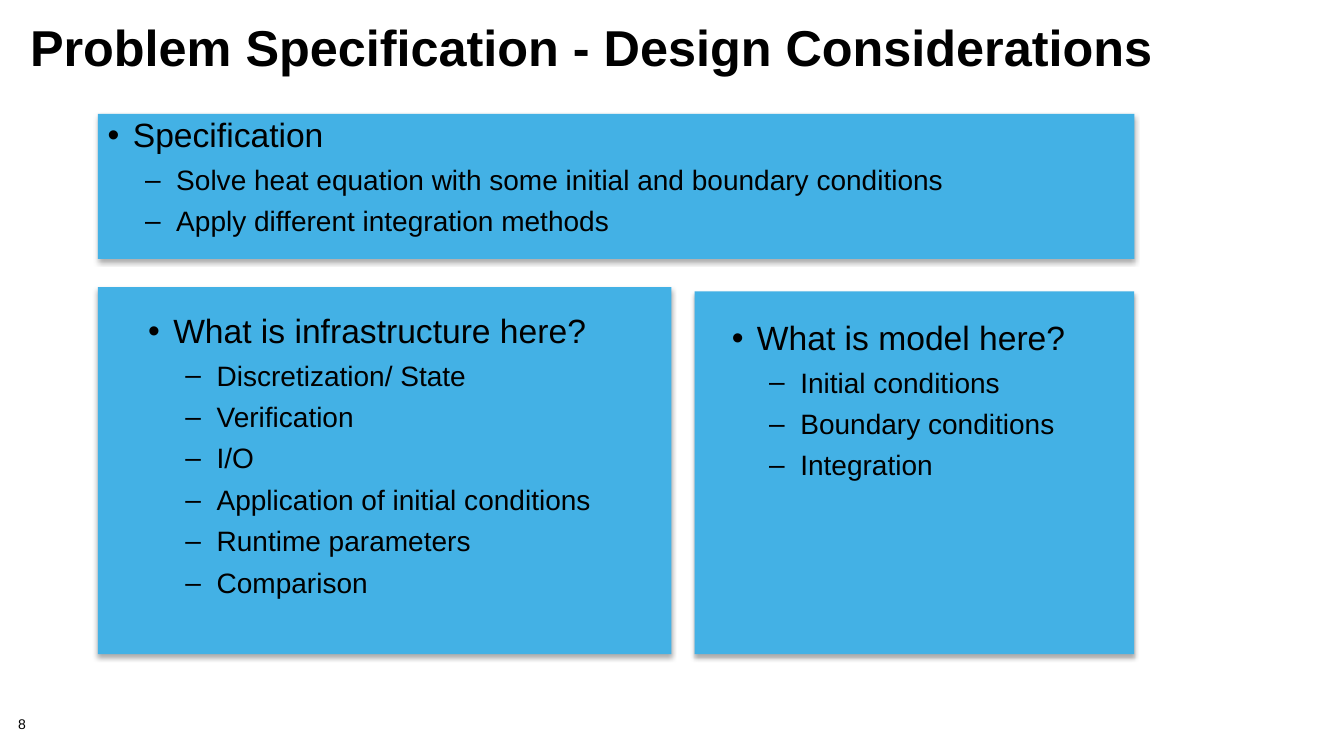
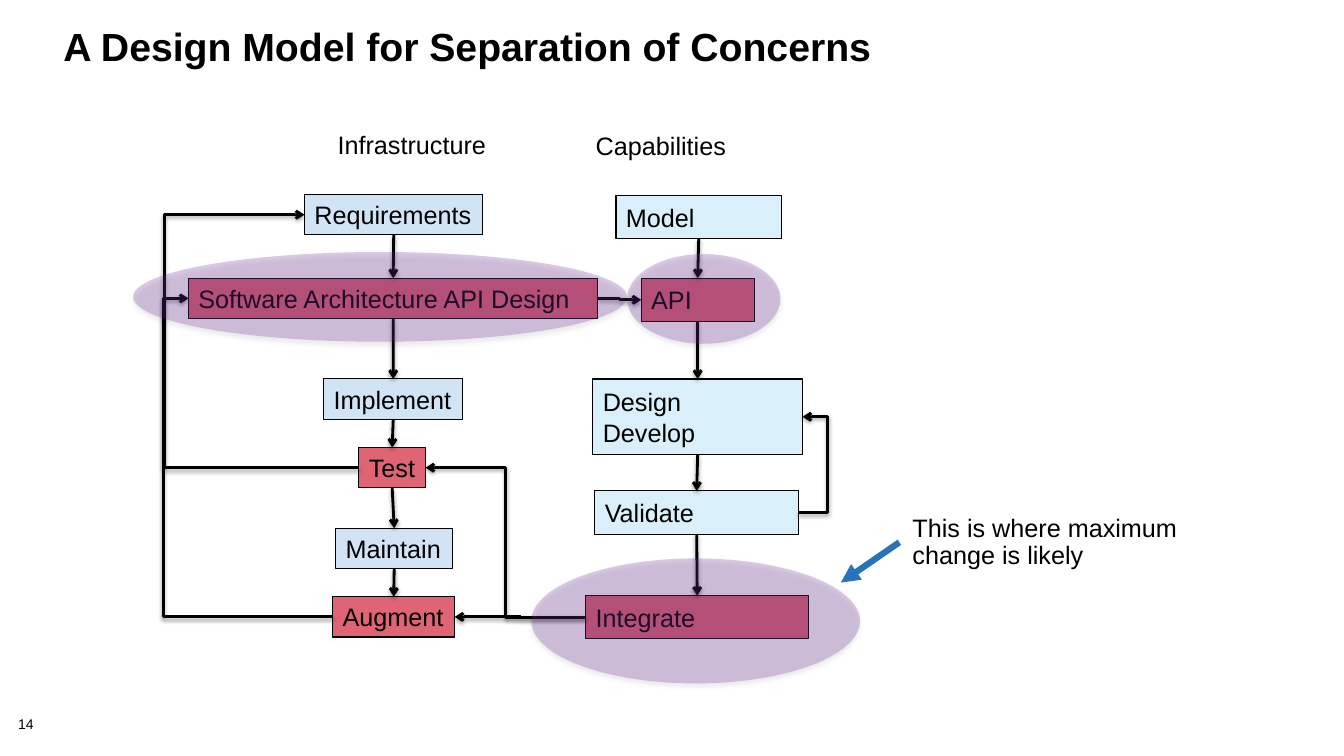
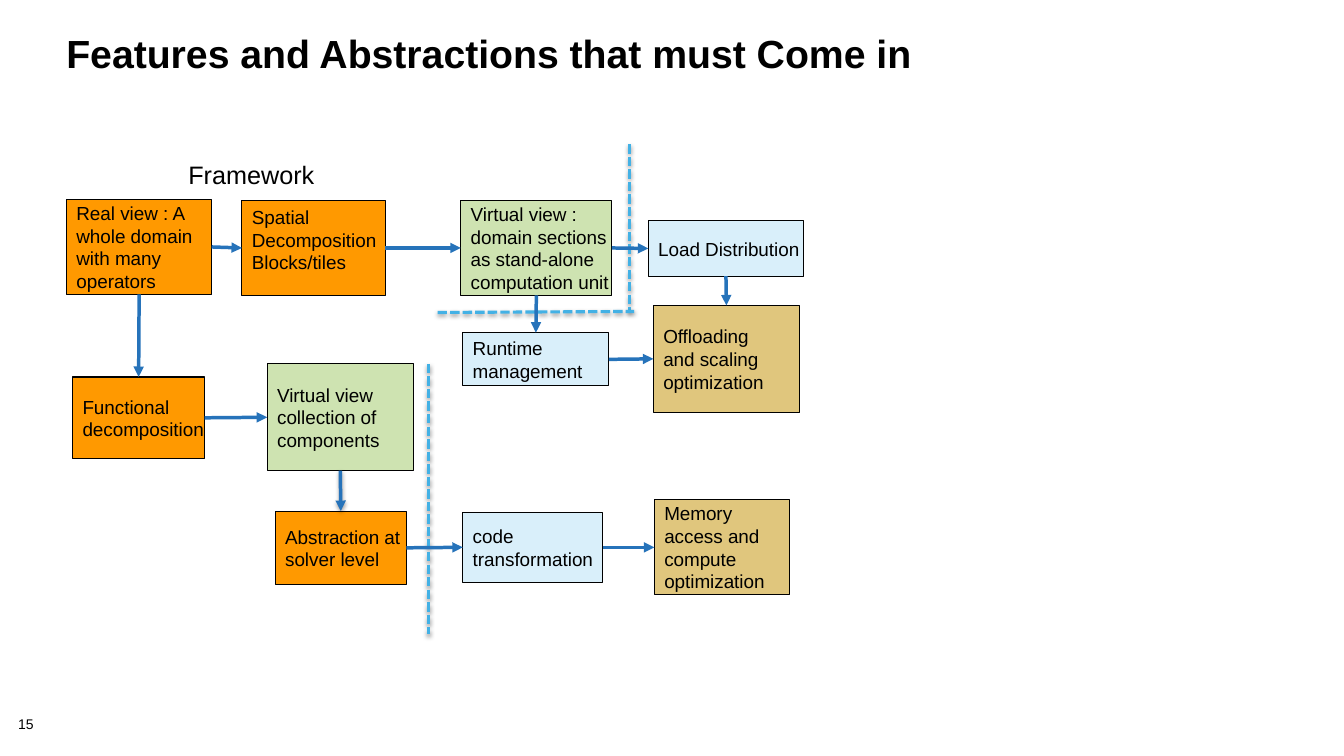
from dataclasses import dataclass

from lxml import etree
from pptx import Presentation
from pptx.dml.color import RGBColor
from pptx.enum.dml import MSO_LINE
from pptx.enum.shapes import MSO_CONNECTOR, MSO_SHAPE
from pptx.enum.text import MSO_ANCHOR, PP_ALIGN
from pptx.oxml.ns import qn
from pptx.util import Inches, Pt

RECTANGLE, ELLIPSE = MSO_SHAPE.RECTANGLE, MSO_SHAPE.OVAL
STRAIGHT, ELBOW = MSO_CONNECTOR.STRAIGHT, MSO_CONNECTOR.ELBOW
ANCHOR_TOP, ANCHOR_MIDDLE = MSO_ANCHOR.TOP, MSO_ANCHOR.MIDDLE
ALIGN_LEFT = PP_ALIGN.LEFT
SHORT_DASH = MSO_LINE.SQUARE_DOT
TOP, LEFT, BOTTOM, RIGHT = range(4)  # connection sites of a rectangle

FONT = "Arial"
COLORS = {
    "black": "000000",
    "panel": "43B1E5",
    "arrow": "2673BA",
    "infrastructure": "D1E4F5",
    "capability": "D9EFFA",
    "changing": "DF6474",
    "highlight": "7030A0",
    "orange": "FF9900",
    "green": "CEE3B1",
    "tan": "E0C67D",
}


@dataclass(frozen=True)
class Shadow:
    opacity: int
    blur: float
    distance: float


SHAPE_SHADOW = Shadow(32, 3.5, 2.2)
LINE_SHADOW = Shadow(38, 3.1, 1.6)


@dataclass(frozen=True)
class Place:
    left: float
    top: float
    width: float
    height: float

    def lengths(self):
        return [Inches(value) for value in (self.left, self.top, self.width, self.height)]


@dataclass(frozen=True)
class Node:
    text: str
    color: str
    place: Place
    anchor: MSO_ANCHOR = ANCHOR_MIDDLE


@dataclass(frozen=True)
class Panel:
    place: Place
    text_place: Place
    heading: str
    items: tuple[str, ...]


@dataclass(frozen=True)
class Link:
    start: str
    start_site: int
    end: str
    end_site: int
    kind: MSO_CONNECTOR = STRAIGHT
    lane: float | None = None  # x of the middle leg of an elbow


@dataclass(frozen=True)
class Stroke:
    color: str
    width: float
    head: str | None = None
    shadow: Shadow | None = None
    dash: MSO_LINE | None = None


FLOW = Stroke("black", 2, "arrow", LINE_SHADOW)
POINTER = Stroke("arrow", 4.5, "triangle")
STEP = Stroke("arrow", 2.5, "triangle")
DIVIDER = Stroke("panel", 2.25, shadow=LINE_SHADOW, dash=SHORT_DASH)


def rgb(name: str) -> RGBColor:
    return RGBColor.from_string(COLORS[name])


def add_element(parent, tag: str, **attributes):
    child = etree.SubElement(parent, qn(tag))
    for name, value in attributes.items():
        child.set(name, str(value))
    return child


def set_shadow(shape, shadow: Shadow | None) -> None:
    """Replace the theme's shadow by the given one, or by none."""
    properties = shape._element.spPr
    effects = properties.find(qn("a:effectLst"))
    if effects is None:
        effects = add_element(properties, "a:effectLst")
    if shadow:
        outer = add_element(effects, "a:outerShdw", blurRad=Pt(shadow.blur),
                            dist=Pt(shadow.distance), dir=90 * 60000, rotWithShape=0)
        color = add_element(outer, "a:srgbClr", val=COLORS["black"])
        add_element(color, "a:alpha", val=shadow.opacity * 1000)


def format_paragraph(paragraph, text: str, *, size: float, bold: bool = False,
                     spacing: float | None = None, before: float | None = None) -> None:
    paragraph.alignment = ALIGN_LEFT
    if spacing is not None:
        paragraph.line_spacing = spacing
    if before is not None:
        paragraph.space_before = Pt(before)
    span = paragraph.add_run()
    span.text = text
    span.font.name = FONT
    span.font.size = Pt(size)
    span.font.bold = bold
    span.font.color.rgb = rgb("black")


def write_text(shape, text: str, *, size: float, bold: bool = False,
               spacing: float | None = None, anchor: MSO_ANCHOR = ANCHOR_TOP,
               insets: tuple[float, float] = (0.1, 0.05), wrap: bool = False) -> None:
    frame = shape.text_frame
    frame.word_wrap = wrap
    frame.vertical_anchor = anchor
    frame.margin_left = frame.margin_right = Inches(insets[0])
    frame.margin_top = frame.margin_bottom = Inches(insets[1])
    for index, line in enumerate(text.split("\n")):
        paragraph = frame.add_paragraph() if index else frame.paragraphs[0]
        format_paragraph(paragraph, line, size=size, bold=bold, spacing=spacing)


def add_text(page, place: Place, text: str, **text_format):
    box = page.shapes.add_textbox(*place.lengths())
    write_text(box, text, **text_format)
    return box


def add_filled(page, kind: MSO_SHAPE, place: Place, color: str, *, outline: bool = False,
               opacity: int = 100, shadow: Shadow | None = None):
    shape = page.shapes.add_shape(kind, *place.lengths())
    shape.fill.solid()
    shape.fill.fore_color.rgb = rgb(color)
    if opacity < 100:
        fill = shape._element.spPr.find(qn("a:solidFill"))
        add_element(fill[0], "a:alpha", val=opacity * 1000)
    if outline:
        shape.line.color.rgb = rgb("black")
        shape.line.width = Pt(0.75)
    else:
        shape.line.fill.background()
    shape.shadow.inherit = False
    set_shadow(shape, shadow)
    return shape


def add_nodes(page, nodes: tuple[Node, ...], size: float) -> dict:
    """Draw the boxes and return them by the first line of their text."""
    shapes = {}
    for node in nodes:
        shape = add_filled(page, RECTANGLE, node.place, node.color, outline=True)
        write_text(shape, node.text, size=size, anchor=node.anchor)
        shapes[node.text.split("\n")[0]] = shape
    return shapes


def style_line(connector, stroke: Stroke) -> None:
    connector.line.color.rgb = rgb(stroke.color)
    connector.line.width = Pt(stroke.width)
    if stroke.dash:
        connector.line.dash_style = stroke.dash
    if stroke.head:
        add_element(connector._element.spPr.find(qn("a:ln")), "a:tailEnd", type=stroke.head)
    set_shadow(connector, stroke.shadow)


def add_line(page, start: tuple[float, float], end: tuple[float, float], stroke: Stroke) -> None:
    ends = [Inches(value) for value in (*start, *end)]
    style_line(page.shapes.add_connector(STRAIGHT, *ends), stroke)


def route_elbow(connector, lane: float | None) -> None:
    """Turn a double flip into a half turn and put the middle leg on its lane."""
    frame = connector._element.spPr.find(qn("a:xfrm"))
    if frame.get("flipH") == frame.get("flipV") == "1":
        del frame.attrib["flipH"], frame.attrib["flipV"]
        frame.set("rot", str(180 * 60000))
    if lane is not None:
        geometry = connector._element.spPr.find(qn("a:prstGeom"))
        guides = geometry.find(qn("a:avLst"))
        if guides is None:
            guides = add_element(geometry, "a:avLst")
        add_element(guides, "a:gd", name="adj1", fmla=f"val {lane_ratio(connector, lane)}")


def lane_ratio(connector, lane: float) -> int:
    properties = connector._element.spPr.find(qn("a:xfrm"))
    width = properties.find(qn("a:ext")).get("cx")
    left = int(properties.find(qn("a:off")).get("x"))
    backward = properties.get("rot") or properties.get("flipH") == "1"
    reach = left + int(width) - Inches(lane) if backward else Inches(lane) - left
    return round(100000 * reach / int(width))


def add_links(page, shapes: dict, links: list[Link], stroke: Stroke) -> None:
    for link in links:
        connector = page.shapes.add_connector(link.kind, 0, 0, 0, 0)
        connector.begin_connect(shapes[link.start], link.start_site)
        connector.end_connect(shapes[link.end], link.end_site)
        if link.kind == ELBOW:
            route_elbow(connector, link.lane)
        style_line(connector, stroke)


def chain_down(names: tuple[str, ...]) -> list[Link]:
    return [Link(upper, BOTTOM, lower, TOP) for upper, lower in zip(names, names[1:])]


def add_bullet(paragraph, mark: str, margin: float, hanging: float) -> None:
    properties = paragraph._p.get_or_add_pPr()
    properties.set("marL", str(Inches(margin)))
    properties.set("indent", str(-Inches(hanging)))
    add_element(add_element(properties, "a:buClr"), "a:srgbClr", val=COLORS["black"])
    add_element(properties, "a:buFont", typeface=FONT)
    add_element(properties, "a:buChar", char=mark)


def add_panel(page, panel: Panel) -> None:
    add_filled(page, RECTANGLE, panel.place, "panel", shadow=SHAPE_SHADOW)
    frame = page.shapes.add_textbox(*panel.text_place.lengths()).text_frame
    frame.word_wrap = True
    heading = frame.paragraphs[0]
    add_bullet(heading, "•", 0.25, 0.25)
    format_paragraph(heading, panel.heading, size=24, spacing=0.9)
    for item in panel.items:
        paragraph = frame.add_paragraph()
        paragraph.level = 1
        add_bullet(paragraph, "–", 0.68, 0.31)
        format_paragraph(paragraph, item, size=20, spacing=0.9, before=8)


def add_page(deck, title: str, place: Place, number: int, size: float = 28):
    page = deck.slides.add_slide(deck.slide_layouts[6])
    add_text(page, Place(0.18, 7.12, 0.56, 0.16), str(number), size=10, spacing=0.9,
             insets=(0, 0), wrap=True)
    add_text(page, place, title, size=size, bold=True, spacing=0.85, wrap=True)
    return page


def build_specification(deck) -> None:
    page = add_page(deck, "Problem Specification - Design Considerations",
                    Place(0.2, 0.2, 12.47, 1.18), 8, size=36)
    panels = (
        Panel(Place(0.97, 1.13, 10.28, 1.44), Place(0.97, 1.13, 9.07, 1.18), "Specification",
              ("Solve heat equation with some initial and boundary conditions",
               "Apply different integration methods")),
        Panel(Place(6.89, 2.89, 4.36, 3.6), Place(7.16, 3.14, 4.36, 3.34),
              "What is model here?",
              ("Initial conditions", "Boundary conditions", "Integration")),
        Panel(Place(0.97, 2.85, 5.69, 3.64), Place(1.37, 3.07, 5.12, 3.42),
              "What is infrastructure here?",
              ("Discretization/ State", "Verification", "I/O",
               "Application of initial conditions", "Runtime parameters", "Comparison")),
    )
    for panel in panels:
        add_panel(page, panel)


def build_separation(deck) -> None:
    page = add_page(deck, "A Design Model for Separation of Concerns",
                    Place(0.53, 0.24, 10.56, 0.67), 14)
    add_text(page, Place(3.25, 1.23, 1.69, 0.4), "Infrastructure", size=18)
    add_text(page, Place(5.81, 1.24, 1.51, 0.4), "Capabilities", size=18)

    architecture = "Software Architecture API Design"
    infrastructure = (
        Node("Requirements", "infrastructure", Place(3.02, 1.93, 1.77, 0.4)),
        Node(architecture, "changing", Place(1.87, 2.76, 4.06, 0.4)),
        Node("Implement", "infrastructure", Place(3.21, 3.76, 1.38, 0.4)),
        Node("Test", "changing", Place(3.56, 4.44, 0.66, 0.4)),
        Node("Maintain", "infrastructure", Place(3.33, 5.24, 1.16, 0.4)),
        Node("Augment", "changing", Place(3.3, 5.92, 1.21, 0.4)),
    )
    capabilities = (
        Node("Model", "capability", Place(6.11, 1.94, 1.64, 0.43)),
        Node("API", "changing", Place(6.36, 2.76, 1.12, 0.43)),
        Node("Design\nDevelop", "capability", Place(5.88, 3.76, 2.08, 0.75)),
        Node("Validate", "capability", Place(5.9, 4.87, 2.02, 0.43)),
        Node("Integrate", "changing", Place(5.81, 5.91, 2.21, 0.43)),
    )
    shapes = {}
    for column in (infrastructure, capabilities):
        column_shapes = add_nodes(page, column, 18)
        add_links(page, column_shapes, chain_down(tuple(column_shapes)), FLOW)
        shapes.update(column_shapes)
    add_links(page, shapes, [
        Link("Augment", LEFT, architecture, LEFT, ELBOW, 1.62),
        Link("Validate", RIGHT, "Design", RIGHT, ELBOW, 8.21),
        Link("Integrate", LEFT, "Augment", RIGHT, ELBOW),
        Link(architecture, RIGHT, "API", LEFT, ELBOW),
        Link("Test", LEFT, "Requirements", LEFT, ELBOW, 1.63),
        Link("Integrate", LEFT, "Test", RIGHT, ELBOW),
    ], FLOW)

    for place in (Place(6.22, 2.52, 1.52, 0.89), Place(5.27, 5.54, 3.26, 1.24),
                  Place(1.32, 2.5, 4.9, 0.89)):
        add_filled(page, ELLIPSE, place, "highlight", opacity=25, shadow=SHAPE_SHADOW)
    add_text(page, Place(8.92, 5.01, 2.98, 0.75), "This is where maximum\nchange is likely",
             size=18, spacing=0.9, anchor=ANCHOR_MIDDLE, insets=(0.13, 0.1))
    add_line(page, (8.92, 5.38), (8.34, 5.78), POINTER)


def build_features(deck) -> None:
    page = add_page(deck, "Features and Abstractions that must Come in",
                    Place(0.56, 0.31, 9.5, 0.95), 15)
    add_text(page, Place(1.77, 1.53, 1.46, 0.4), "Framework", size=18)
    shapes = add_nodes(page, (
        Node("Real view : A\nwhole domain\nwith many\noperators", "orange",
             Place(0.66, 1.98, 1.44, 0.94)),
        Node("Virtual view :\ndomain sections\nas stand-alone\ncomputation unit", "green",
             Place(4.57, 1.99, 1.5, 0.94)),
        Node("Offloading\nand scaling\noptimization", "tan", Place(6.48, 3.03, 1.45, 1.06)),
        Node("Spatial\nDecomposition\nBlocks/tiles", "orange",
             Place(2.4, 1.99, 1.42, 0.94), ANCHOR_TOP),
        Node("Runtime\nmanagement", "capability", Place(4.59, 3.3, 1.45, 0.53)),
        Node("Load Distribution", "capability", Place(6.43, 2.19, 1.54, 0.55)),
        Node("Functional\ndecomposition", "orange", Place(0.72, 3.74, 1.31, 0.81)),
        Node("Virtual view\ncollection of\ncomponents", "green", Place(2.65, 3.61, 1.45, 1.06)),
        Node("Memory\naccess and\ncompute\noptimization", "tan", Place(6.49, 4.96, 1.34, 0.94)),
        Node("Abstraction at\nsolver level", "orange", Place(2.73, 5.07, 1.3, 0.73)),
        Node("code\ntransformation", "capability", Place(4.59, 5.08, 1.39, 0.7)),
    ), 13.5)
    for start, end in (((6.24, 1.43), (6.24, 3.09)), ((4.34, 3.1), (6.29, 3.09)),
                       ((4.25, 3.61), (4.25, 6.29))):
        add_line(page, start, end, DIVIDER)

    across = (
        ("Real view : A", "Spatial"), ("Spatial", "Virtual view :"),
        ("Virtual view :", "Load Distribution"), ("Runtime", "Offloading"),
        ("Functional", "Virtual view"), ("Abstraction at", "code"), ("code", "Memory"),
    )
    down = (("Real view : A", "Functional"), ("Virtual view :", "Runtime"),
            ("Load Distribution", "Offloading"))
    links = [Link(start, RIGHT, end, LEFT) for start, end in across]
    links += [link for pair in down for link in chain_down(pair)]
    add_links(page, shapes, links, STEP)
    add_links(page, shapes, chain_down(("Virtual view", "Abstraction at")),
              Stroke("arrow", 2.5, "triangle", LINE_SHADOW))


def main() -> None:
    deck = Presentation()
    deck.slide_width, deck.slide_height = Inches(13.33), Inches(7.5)
    build_specification(deck)
    build_separation(deck)
    build_features(deck)
    deck.save("out.pptx")


if __name__ == "__main__":
    main()
